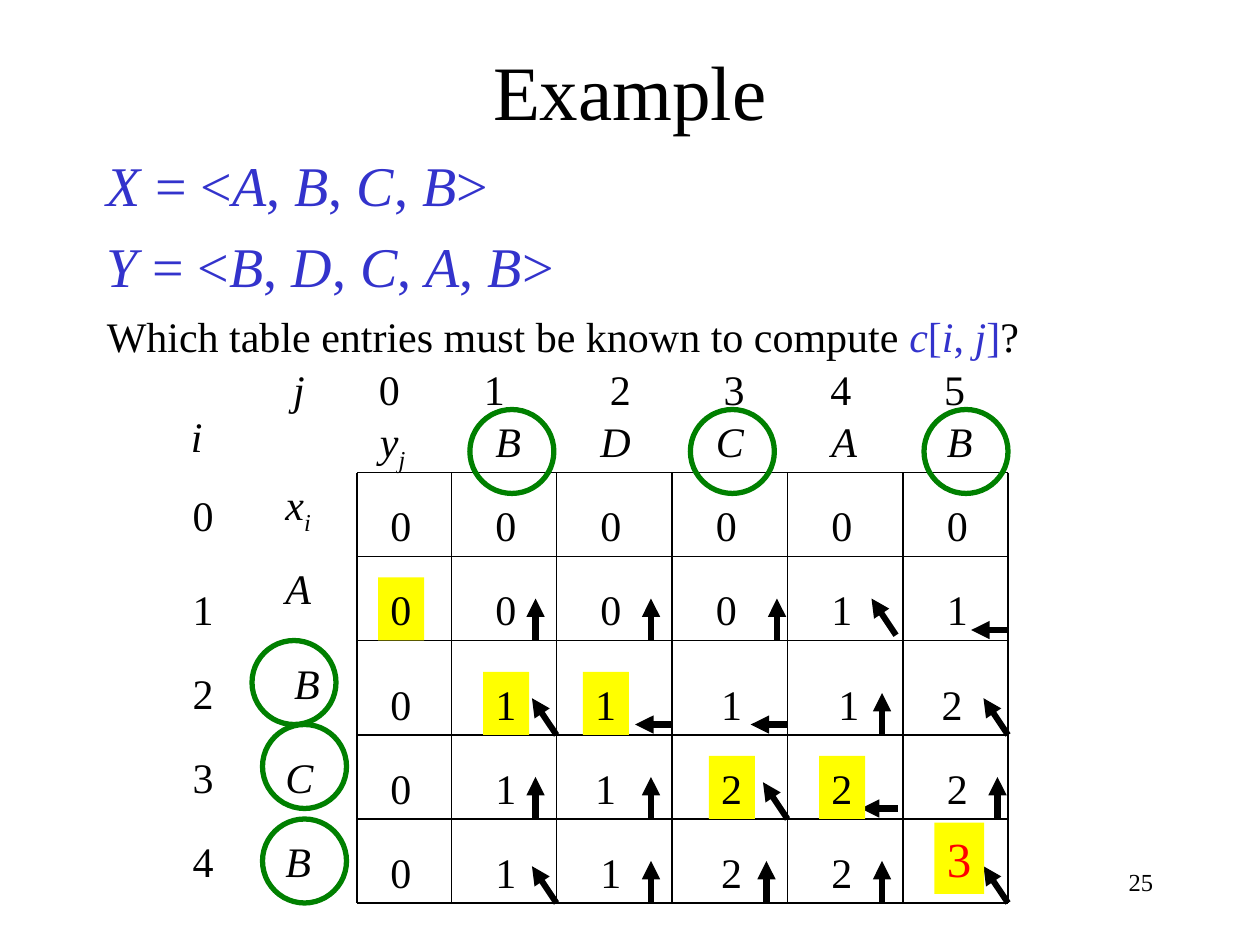
from dataclasses import dataclass

from lxml.etree import SubElement
from pptx import Presentation
from pptx.dml.color import RGBColor
from pptx.enum.shapes import MSO_CONNECTOR, MSO_SHAPE
from pptx.enum.text import MSO_ANCHOR, MSO_AUTO_SIZE, PP_ALIGN
from pptx.oxml.ns import qn
from pptx.util import Pt


@dataclass(frozen=True)
class Theme:
    font: str = "Times New Roman"
    black: str = "000000"
    blue: str = "3333CC"
    green: str = "008000"
    yellow: str = "FFFF00"
    red: str = "FF0000"
    title: int = 44
    large: int = 32
    best: int = 28
    text: int = 24
    small: int = 14
    thin: float = 0.75
    ring: float = 3
    arrow: float = 3.5


class Board:
    def __init__(self, deck, theme):
        self.theme = theme
        self.slide = deck.slides.add_slide(deck.slide_layouts[5])
        self.shapes = self.slide.shapes

    def style(self, font, size, color, **more):
        font.color.rgb = RGBColor.from_string(color)
        look = {"name": self.theme.font, "size": Pt(size), **more}
        for key, value in look.items():
            setattr(font, key, value)

    def title(self, text, x, y, w, h):
        box = self.shapes.title
        place = {"left": x, "top": y, "width": w, "height": h}
        for key, value in place.items():
            setattr(box, key, Pt(value))
        box.text_frame.text = text
        box.text_frame.vertical_anchor = MSO_ANCHOR.MIDDLE
        para = box.text_frame.paragraphs[0]
        para.alignment = PP_ALIGN.CENTER
        self.style(para.runs[0].font, self.theme.title, self.theme.black)

    def box(self, x, y, w, h, wrap=True):
        shape = self.shapes.add_textbox(Pt(x), Pt(y), Pt(w), Pt(h))
        shape.text_frame.word_wrap = wrap
        return shape

    def words(self, para, text, size, color):
        """Add text to a paragraph, with its letters between * in italics."""
        for num, part in enumerate(text.split("*")):
            if part:
                run = para.add_run()
                run.text = part
                self.style(run.font, size, color, italic=num % 2 == 1)

    def label(self, text, x, y, w, sub="", size=None, color=None, fill=None):
        size = size or self.theme.text
        shape = self.box(x, y, w, size * 1.2 + 7.2, wrap=False)
        if fill:
            shape.fill.solid()
            shape.fill.fore_color.rgb = RGBColor.from_string(fill)
        frame = shape.text_frame
        frame.auto_size = MSO_AUTO_SIZE.SHAPE_TO_FIT_TEXT
        para = frame.paragraphs[0]
        self.words(para, text, size, color or self.theme.black)
        if sub:
            self.words(para, sub, size, self.theme.black)
            para.runs[-1].font._element.set("baseline", "-25000")

    def line(self, x1, y1, x2, y2, width, head=False):
        link = self.shapes.add_connector(
            MSO_CONNECTOR.STRAIGHT, Pt(x1), Pt(y1), Pt(x2), Pt(y2))
        link.line.width = Pt(width)
        link.line.color.rgb = RGBColor.from_string(self.theme.black)
        if head:
            outline = link._element.spPr.find(qn("a:ln"))
            SubElement(outline, qn("a:tailEnd"), type="triangle")
        SubElement(link._element.spPr, qn("a:effectLst"))

    def ring(self, x, y, size=48):
        shape = self.shapes.add_shape(
            MSO_SHAPE.OVAL, Pt(x), Pt(y), Pt(size), Pt(size))
        shape.shadow.inherit = False
        shape.fill.background()
        shape.line.color.rgb = RGBColor.from_string(self.theme.green)
        shape.line.width = Pt(self.theme.ring)


# Grid edges, and where the text of each column and row starts
COLS = [204, 258, 318, 384, 450, 516, 576]
ROWS = [270, 318, 366, 420, 468, 516]
LEFT = [216, 276, 336, 402, 468, 534]
TOP = [282, 330, 384, 432, 480]

# Label widths: glyph plus side margins
WIDE = {"A": 29, "B": 29, "C": 30.4, "D": 31.7, "digit": 26.4}

# Table values, and their arrows: u up, l left, d diagonal
CELLS = ["000000", "000011", "011112", "011222", "011223"]
MOVES = ["------", "-uuudl", "-dllud", "-uudlu", "-duuud"]
MARKED = {(1, 0), (2, 1), (2, 2), (3, 3), (3, 4), (4, 5)}
SHIFT = {(2, 2): -3, (2, 3): 3, (2, 4): 4, (2, 5): -3,
         (3, 2): -3, (3, 3): 3, (4, 3): 3}

# Arrow start from the lower right cell corner, and its run
ARROWS = {"u": (-12, 0, 0, -24), "l": (0, -6, -21, 0), "d": (0, 0, -14, -21)}
NUDGE = {(1, 3): (6, 0), (1, 4): (-4, -3), (3, 4): (-3, 0), (3, 5): (6, 0)}


def main():
    theme = Theme()
    deck = Presentation()
    deck.slide_width, deck.slide_height = Pt(720), Pt(540)
    board = Board(deck, theme)

    # Heading, the two sequences and the question
    board.title("Example", 54, 6, 612, 90)
    frame = board.box(54, 82.5, 612, 120).text_frame
    lines = [
        (theme.large, 0, [("*X* = <*A*, *B*, *C*, *B*>", theme.blue)]),
        (theme.large, 8, [("*Y* = <*B*, *D*, *C*, *A*, *B*>", theme.blue)]),
        (theme.text, 6.5, [
            ("Which table entries must be known to compute ", theme.black),
            ("*c*[*i*, *j*]", theme.blue), ("?", theme.black)]),
    ]
    for num, (size, gap, parts) in enumerate(lines):
        para = frame.add_paragraph() if num else frame.paragraphs[0]
        para.space_before = Pt(gap)
        for text, color in parts:
            board.words(para, text, size, color)

    # Page number
    para = board.box(516, 492, 150, 36).text_frame.paragraphs[0]
    para.alignment = PP_ALIGN.RIGHT
    board.words(para, "25", theme.small, theme.black)

    # Grid lines
    for x in COLS:
        board.line(x, ROWS[0], x, ROWS[-1], theme.thin)
    for y in ROWS:
        board.line(COLS[0], y, COLS[-1], y, theme.thin)

    # Column numbers on tab stops
    para = board.box(160.5, 204, 405, 36).text_frame.paragraphs[0]
    tabs = SubElement(para._p.get_or_add_pPr(), qn("a:tabLst"))
    for stop in (49, 109, 181, 246, 307, 372):
        SubElement(tabs, qn("a:tab"), pos=str(Pt(stop)), algn="l")
    board.words(para, "*j*\t0\t1\t2\t3\t4\t5", theme.text, theme.black)

    # Row numbers and the letters of both sequences
    board.label("*i*", 102, 231, 21)
    for num, y in enumerate((276, 330, 378, 426, 474)):
        board.label(str(num), 103, y, WIDE["digit"])
    board.label("*x*", 156, 270, 29.5, sub="*i*")
    for name, x, y in zip("ABCB", (156, 161, 156, 156), (318, 372, 426, 474)):
        board.label(f"*{name}*", x, y, WIDE[name])
    board.label("*y*", 210, 234, 29.5, sub="*j*")
    for name, x in zip("BDCAB", LEFT[1:]):
        board.label(f"*{name}*", x, 234, WIDE[name])

    # Arrows, then values
    for row, moves in enumerate(MOVES):
        for col, move in enumerate(moves):
            if move in ARROWS:
                dx, dy, run, rise = ARROWS[move]
                nx, ny = NUDGE.get((row, col), (0, 0))
                x, y = COLS[col + 1] + dx + nx, ROWS[row + 1] + dy + ny
                board.line(x, y, x + run, y + rise, theme.arrow, head=True)
    for row, values in enumerate(CELLS):
        for col, value in enumerate(values):
            x = LEFT[col] + SHIFT.get((row, col), 0)
            fill = theme.yellow if (row, col) in MARKED else None
            if value == "3":
                board.label(value, x, 470, 28.4, size=theme.best,
                            color=theme.red, fill=fill)
            else:
                board.label(value, x, TOP[row], WIDE["digit"], fill=fill)

    # Rings around the letters of the common subsequence
    for x, y in ((528, 234), (394.5, 234), (268.5, 234),
                 (144, 366), (150, 414), (150, 468)):
        board.ring(x, y)

    deck.save("out.pptx")


if __name__ == "__main__":
    main()
